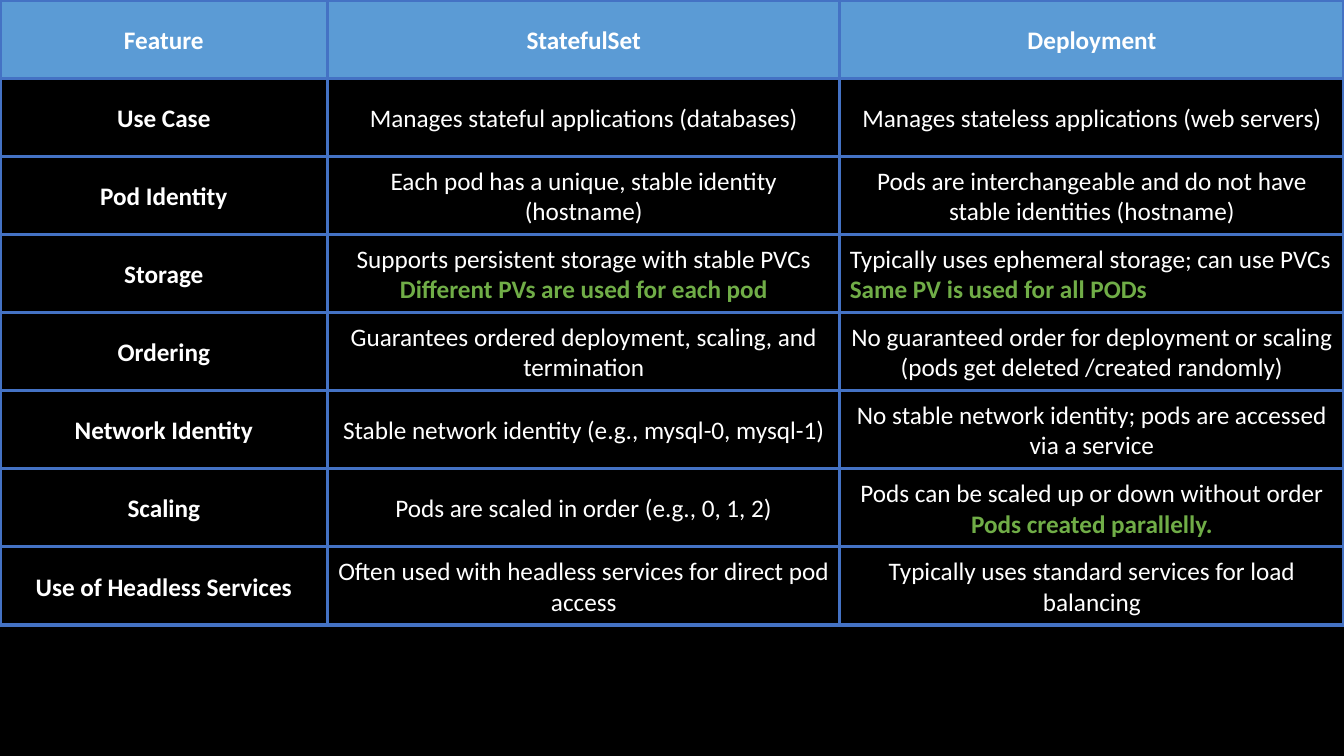
from dataclasses import dataclass

from pptx import Presentation
from pptx.dml.color import RGBColor
from pptx.enum.shapes import MSO_SHAPE
from pptx.enum.text import MSO_ANCHOR, PP_ALIGN
from pptx.util import Inches, Pt

CENTER, LEFT = PP_ALIGN.CENTER, PP_ALIGN.LEFT
MIDDLE = MSO_ANCHOR.MIDDLE
RECTANGLE = MSO_SHAPE.RECTANGLE
BLANK_LAYOUT = 6
SLIDE_W, SLIDE_H = 13.33, 7.5


@dataclass(frozen=True)
class Theme:
    background: str = "000000"
    header: str = "5B9BD5"
    border: str = "4472C4"
    text: str = "FFFFFF"
    accent: str = "70AD47"
    font: str = "Calibri"
    size: float = 18
    border_width: float = 2.25


THEME = Theme()
PLAIN = {"bold": False, "color": THEME.text}
STRONG = {"bold": True, "color": THEME.text}
NOTE = {"bold": True, "color": THEME.accent}

COLUMN_WIDTHS = (3.25, 5.08, 5)
GRID_BOX = (0, 0, SLIDE_W, 6.2)

# A cell is a string, or a list of paragraphs; a paragraph is a list of (text, format) runs
COMPARISON = [
    ("Feature", "StatefulSet", "Deployment"),
    ("Use Case", "Manages stateful applications (databases)",
     "Manages stateless applications (web servers)"),
    ("Pod Identity", "Each pod has a unique, stable identity (hostname)",
     "Pods are interchangeable and do not have stable identities (hostname)"),
    ("Storage",
     [[("Supports persistent storage with stable PVCs", PLAIN)],
      [("Different PVs are used for each pod", NOTE)]],
     [[("Typically uses ephemeral storage; can use PVCs ", PLAIN),
       ("Same PV is used for all PODs", NOTE)]]),
    ("Ordering", "Guarantees ordered deployment, scaling, and termination",
     [[("No guaranteed order for deployment or scaling", PLAIN)],
      [("(pods get deleted /created randomly)", PLAIN)]]),
    ("Network Identity", "Stable network identity (e.g., mysql-0, mysql-1)",
     "No stable network identity; pods are accessed via a service"),
    ("Scaling", "Pods are scaled in order (e.g., 0, 1, 2)",
     [[("Pods can be scaled up or down without order", PLAIN)],
      [("Pods created parallelly.", NOTE)]]),
    ("Use of Headless Services",
     "Often used with headless services for direct pod access",
     "Typically uses standard services for load balancing"),
]


def write_run(paragraph, text, style):
    run = paragraph.add_run()
    run.text = text
    font_values = {"name": THEME.font, "size": Pt(THEME.size), "bold": style["bold"]}
    for attribute, value in font_values.items():
        setattr(run.font, attribute, value)
    run.font.color.rgb = RGBColor.from_string(style["color"])


def write_cell(cell, content, style):
    paragraphs = [[(content, style)]] if isinstance(content, str) else content
    frame = cell.text_frame
    frame.word_wrap = True
    frame.vertical_anchor = MIDDLE
    for index, runs in enumerate(paragraphs):
        paragraph = frame.paragraphs[0] if index == 0 else frame.add_paragraph()
        # A paragraph that mixes formats reads from the left
        paragraph.alignment = LEFT if len(runs) > 1 else CENTER
        for text, run_style in runs:
            write_run(paragraph, text, run_style)


def add_cell(slide, box, content, style, fill_color=None):
    cell = slide.shapes.add_shape(RECTANGLE, *map(Inches, box))
    cell.shadow.inherit = False
    if fill_color:
        cell.fill.solid()
        cell.fill.fore_color.rgb = RGBColor.from_string(fill_color)
    else:
        cell.fill.background()
    cell.line.color.rgb = RGBColor.from_string(THEME.border)
    cell.line.width = Pt(THEME.border_width)
    write_cell(cell, content, style)


def add_comparison_grid(slide, box, rows, column_widths):
    left, top, width, height = box
    row_height = height / len(rows)
    scale = width / sum(column_widths)
    for row_index, row in enumerate(rows):
        is_header = row_index == 0
        for column_index, content in enumerate(row):
            is_label = is_header or column_index == 0
            cell_box = (left + scale * sum(column_widths[:column_index]),
                        top + row_index * row_height,
                        scale * column_widths[column_index], row_height)
            add_cell(slide, cell_box, content, STRONG if is_label else PLAIN,
                     THEME.header if is_header else None)


def main():
    presentation = Presentation()
    presentation.slide_width = Inches(SLIDE_W)
    presentation.slide_height = Inches(SLIDE_H)
    slide = presentation.slides.add_slide(presentation.slide_layouts[BLANK_LAYOUT])

    # Black backdrop
    backdrop = slide.background.fill
    backdrop.solid()
    backdrop.fore_color.rgb = RGBColor.from_string(THEME.background)

    # Feature comparison
    add_comparison_grid(slide, GRID_BOX, COMPARISON, COLUMN_WIDTHS)
    presentation.save("out.pptx")


if __name__ == "__main__":
    main()
